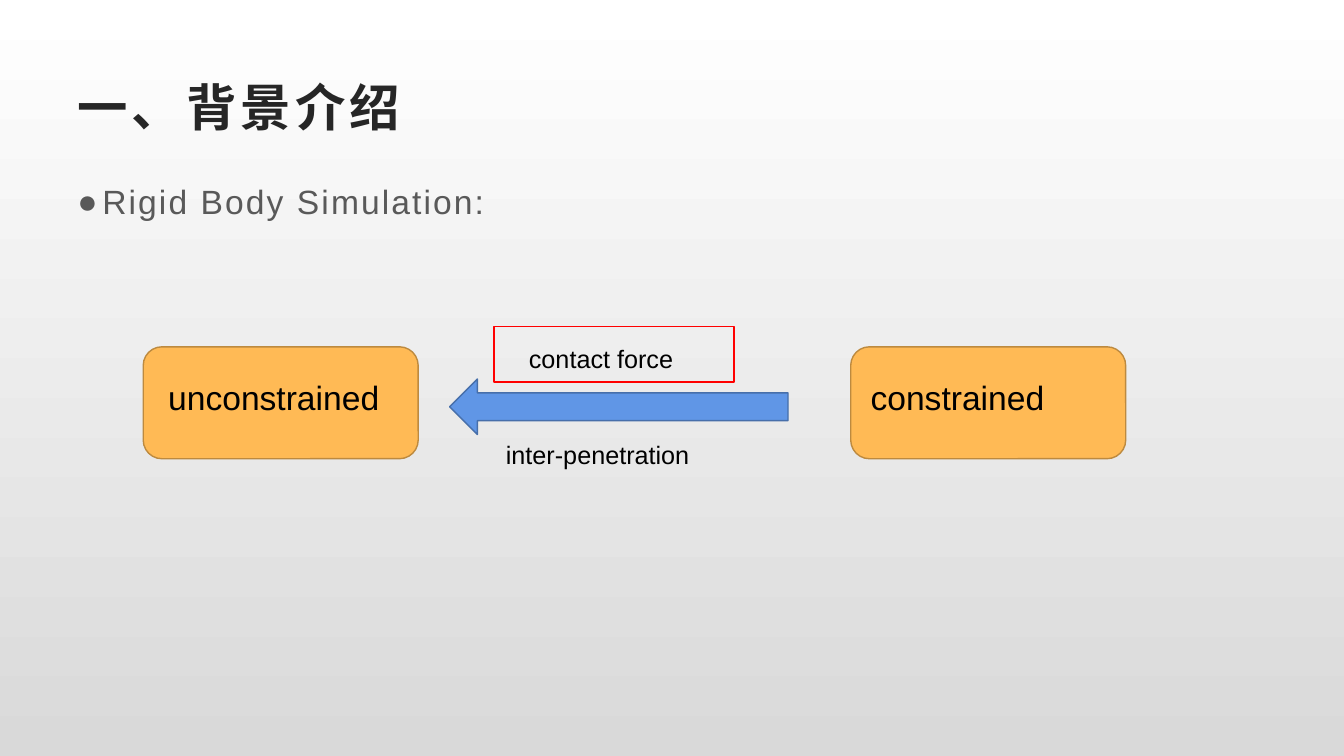
from dataclasses import dataclass, field
from typing import Any

from lxml import etree
from pptx import Presentation
from pptx.dml.color import RGBColor
from pptx.enum.shapes import MSO_SHAPE
from pptx.enum.text import MSO_ANCHOR
from pptx.oxml.ns import qn
from pptx.util import Cm, Pt

ROUNDED = MSO_SHAPE.ROUNDED_RECTANGLE
LEFT_ARROW = MSO_SHAPE.LEFT_ARROW
RECTANGLE = MSO_SHAPE.RECTANGLE
TOP, MIDDLE = MSO_ANCHOR.TOP, MSO_ANCHOR.MIDDLE

Box = tuple[float, float, float, float]  # left, top, width, height in cm


@dataclass
class Outline:
    kind: Any
    box: Box
    line: str
    fill: str | None = None


@dataclass
class Caption:
    text: str
    box: Box
    size: int
    color: str = "000000"
    bold: bool = False
    tracking: int = 0  # hundredths of a point
    anchor: Any = TOP
    bullet: str | None = None
    spacing: dict[str, Any] = field(default_factory=dict)


def rgb(value: str) -> RGBColor:
    return RGBColor.from_string(value)


def draw_outline(slide, outline: Outline) -> None:
    shape = slide.shapes.add_shape(outline.kind, *map(Cm, outline.box))
    shape.shadow.inherit = False
    shape.line.color.rgb = rgb(outline.line)
    shape.line.width = Pt(1)
    if outline.fill:
        shape.fill.solid()
        shape.fill.fore_color.rgb = rgb(outline.fill)
    else:
        shape.fill.background()


def add_bullet(paragraph, symbol: str) -> None:
    properties = paragraph._p.get_or_add_pPr()
    indent = Cm(0.63)
    properties.set("marL", str(indent))
    properties.set("indent", str(-indent))
    etree.SubElement(properties, qn("a:buFont")).set("typeface", "Arial")
    etree.SubElement(properties, qn("a:buChar")).set("char", symbol)


def draw_caption(slide, caption: Caption) -> None:
    frame = slide.shapes.add_textbox(*map(Cm, caption.box)).text_frame
    frame.word_wrap = True
    frame.vertical_anchor = caption.anchor
    paragraph = frame.paragraphs[0]
    for name, value in caption.spacing.items():
        setattr(paragraph, name, value)
    if caption.bullet:
        add_bullet(paragraph, caption.bullet)
    run = paragraph.add_run()
    run.text = caption.text
    font_format = {"name": "Arial", "size": Pt(caption.size), "bold": caption.bold}
    for name, value in font_format.items():
        setattr(run.font, name, value)
    run.font.color.rgb = rgb(caption.color)
    if caption.tracking:
        run._r.get_or_add_rPr().set("spc", str(caption.tracking))


def paint_background(slide, top: str, bottom: str) -> None:
    fill = slide.background.fill
    fill.gradient()
    fill.gradient_angle = 270
    for stop, position, color in zip(fill.gradient_stops, (0, 1), (top, bottom)):
        stop.position = position
        stop.color.rgb = rgb(color)


# Heading and topic
HEADINGS = [
    Caption("一、背景介绍", (1.7, 1.7, 30.48, 1.96), 36, "262626", bold=True,
            tracking=300, anchor=MIDDLE),
    Caption("Rigid Body Simulation:", (1.7, 4.14, 30.48, 13.21), 24, "595959",
            tracking=150, bullet="●",
            spacing={"line_spacing": 1.3, "space_after": Pt(10)}),
]

# Both states, the arrow between them and the frame of the force
STATE_LEFTS = (3.61, 21.44)
OUTLINES = [
    *(Outline(ROUNDED, (left, 8.74, 6.93, 2.82), "BD8A3F", "FFBA55")
      for left in STATE_LEFTS),
    Outline(LEFT_ARROW, (11.33, 9.55, 8.53, 1.4), "476FAA", "6096E6"),
    Outline(RECTANGLE, (12.45, 8.23, 6.05, 1.4), "FF0000"),
]

# Words on the diagram
LABELS = [
    Caption("unconstrained", (3.99, 9.37, 6.17, 1.27), 24),
    Caption("constrained", (21.69, 9.37, 7.26, 1.27), 24),
    Caption("contact force", (13.08, 8.53, 5.03, 1.02), 18),
    Caption("inter-penetration", (12.5, 10.95, 5.31, 1.02), 18),
]


def main() -> None:
    deck = Presentation()
    deck.slide_width, deck.slide_height = Cm(33.87), Cm(19.05)
    slide = deck.slides.add_slide(deck.slide_layouts[6])
    paint_background(slide, "FFFFFF", "D9D9D9")
    for outline in OUTLINES:
        draw_outline(slide, outline)
    for caption in HEADINGS + LABELS:
        draw_caption(slide, caption)
    deck.save("out.pptx")


if __name__ == "__main__":
    main()
